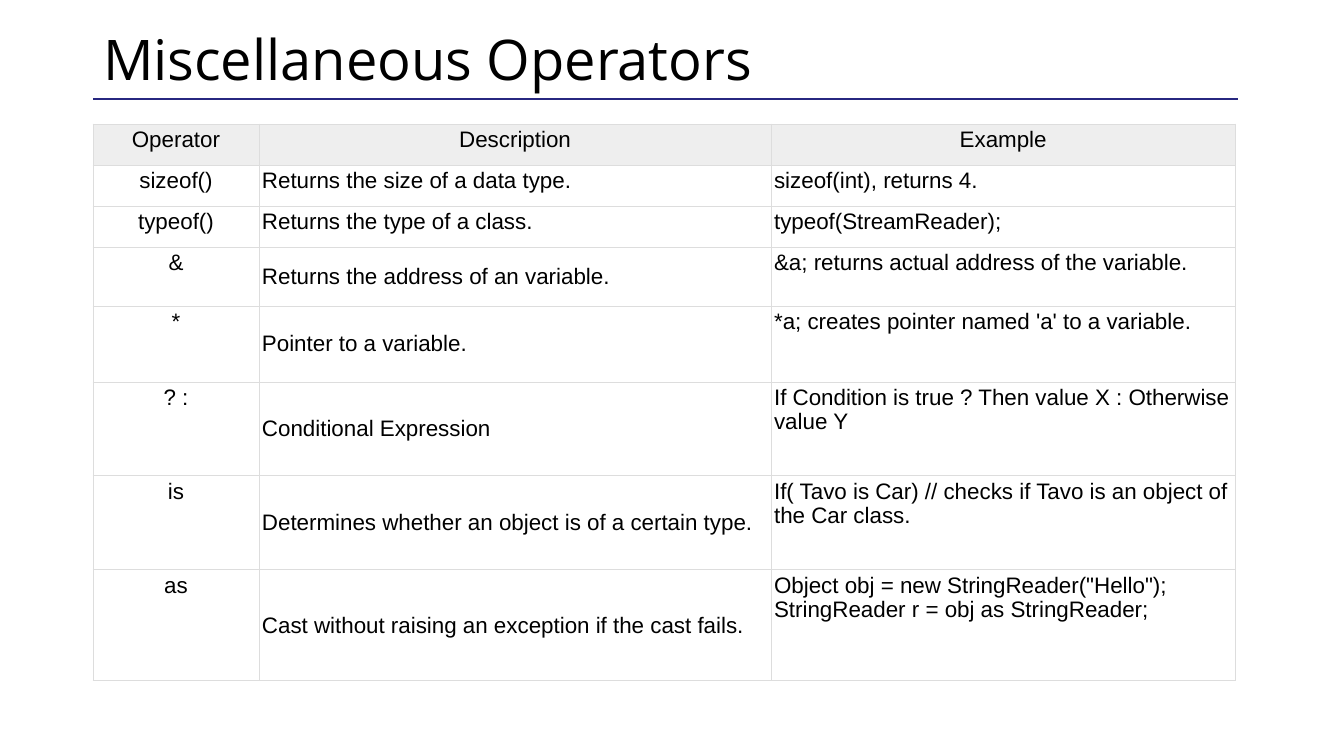
from dataclasses import dataclass

from lxml.etree import SubElement
from pptx import Presentation
from pptx.dml.color import RGBColor
from pptx.enum.shapes import MSO_CONNECTOR as Connector
from pptx.enum.text import MSO_ANCHOR as Anchor, MSO_AUTO_SIZE as AutoSize, PP_ALIGN as Align
from pptx.oxml.ns import qn
from pptx.util import Emu, Inches, Pt

PX_PER_INCH = 100.8
TITLE_ONLY = 5


@dataclass(frozen=True)
class Theme:
    ink: str = "000000"
    rule: str = "272780"
    header: str = "EEEEEE"
    border: str = "DDDDDD"
    title_font: str = "Open Sans"
    body_font: str = "Arial"
    title_size: float = 40
    body_size: float = 16
    rule_width: float = 2
    border_width: float = 0.75


def px(length):
    return Emu(round(length * Inches(1) / PX_PER_INCH))


def write(frame, text, *, font, size, color, align=Align.LEFT, anchor=Anchor.TOP, spacing=None):
    """Fill a text frame, one paragraph for each line of text."""
    frame.word_wrap = True
    frame.vertical_anchor = anchor
    for index, line in enumerate(text.split("\n")):
        para = frame.paragraphs[0] if index == 0 else frame.add_paragraph()
        para.alignment = align
        para.line_spacing = spacing
        span = para.add_run()
        span.text = line
        span.font.name = font
        span.font.size = Pt(size)
        span.font.color.rgb = RGBColor.from_string(color)


class SlideBuilder:
    def __init__(self, page, theme):
        self.page = page
        self.theme = theme

    def rule(self, left, right, top):
        line = self.page.shapes.add_connector(
            Connector.STRAIGHT, px(left), px(top), px(right), px(top))
        line.line.color.rgb = RGBColor.from_string(self.theme.rule)
        line.line.width = Pt(self.theme.rule_width)
        SubElement(line._element.spPr, qn("a:effectLst"))

    def title(self, text, left, top, width, height):
        title = self.page.shapes.title
        title.left, title.top, title.width, title.height = map(px, (left, top, width, height))
        title.text_frame.auto_size = AutoSize.NONE
        write(title.text_frame, text, font=self.theme.title_font, size=self.theme.title_size,
              color=self.theme.ink, anchor=Anchor.MIDDLE, spacing=0.9)

    def border(self, cell):
        properties = cell._tc.get_or_add_tcPr()
        for side in ("lnL", "lnR", "lnT", "lnB"):
            edge = SubElement(properties, qn(f"a:{side}"), w=str(Pt(self.theme.border_width)))
            fill = SubElement(edge, qn("a:solidFill"))
            SubElement(fill, qn("a:srgbClr"), val=self.theme.border)

    def cell(self, cell, text, *, header, align, anchor):
        cell.margin_left = cell.margin_right = cell.margin_top = cell.margin_bottom = px(3)
        self.border(cell)
        if header:
            cell.fill.solid()
            cell.fill.fore_color.rgb = RGBColor.from_string(self.theme.header)
        else:
            cell.fill.background()
        write(cell.text_frame, text, font=self.theme.body_font, size=self.theme.body_size,
              color=self.theme.ink, align=align)
        cell.vertical_anchor = anchor

    def table(self, rows, left, top, widths, heights):
        table = self.page.shapes.add_table(
            len(rows), len(widths), px(left), px(top), px(sum(widths)), px(sum(heights))).table
        table.first_row = table.horz_banding = False
        for column, width in zip(table.columns, widths):
            column.width = px(width)
        for row, height in zip(table.rows, heights):
            row.height = px(height)
        for r, texts in enumerate(rows):
            for c, text in enumerate(texts):
                centred = r == 0 or c == 0
                align = Align.CENTER if centred else Align.JUSTIFY if "\n" in text else Align.LEFT
                anchor = Anchor.MIDDLE if c == 1 and r >= FIRST_TALL_ROW else Anchor.TOP
                self.cell(table.cell(r, c), text, header=r == 0, align=align, anchor=anchor)


FIRST_TALL_ROW = 3
COLUMN_WIDTHS = (166, 512, 464)
ROW_HEIGHTS = (41, 41, 41, 59, 76, 94, 94, 111)
OPERATORS = (
    ("Operator", "Description", "Example"),
    ("sizeof()", "Returns the size of a data type.", "sizeof(int), returns 4."),
    ("typeof()", "Returns the type of a class.", "typeof(StreamReader);"),
    ("&", "Returns the address of an variable.", "&a; returns actual address of the variable."),
    ("*", "Pointer to a variable.", "*a; creates pointer named 'a' to a variable."),
    ("? :", "Conditional Expression", "If Condition is true ? Then value X : Otherwise value Y"),
    ("is", "Determines whether an object is of a certain type.",
     "If( Tavo is Car) // checks if Tavo is an object of the Car class."),
    ("as", "Cast without raising an exception if the cast fails.",
     'Object obj = new StringReader("Hello");\nStringReader r = obj as StringReader;'),
)


def main():
    deck = Presentation()
    deck.slide_width, deck.slide_height = Inches(13.33), Inches(7.5)
    page = deck.slides.add_slide(deck.slide_layouts[TITLE_ONLY])
    builder = SlideBuilder(page, Theme())
    builder.rule(93, 1238, 99)
    builder.title("Miscellaneous Operators", 93, 17, 1159, 90)
    builder.table(OPERATORS, 93, 124, COLUMN_WIDTHS, ROW_HEIGHTS)
    deck.save("out.pptx")


if __name__ == "__main__":
    main()
